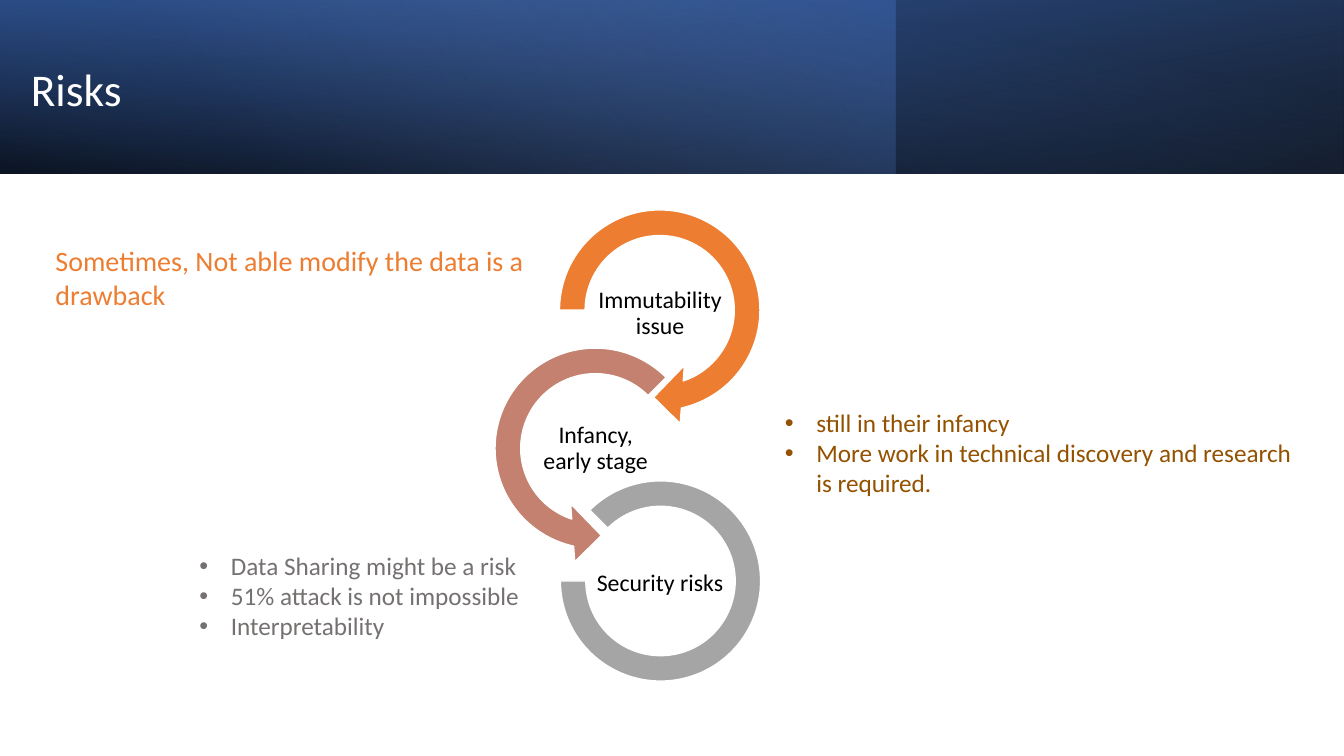
from lxml.etree import SubElement
from pptx import Presentation
from pptx.dml.color import RGBColor
from pptx.enum.shapes import MSO_SHAPE
from pptx.enum.text import MSO_ANCHOR, PP_ALIGN
from pptx.oxml.ns import qn
from pptx.util import Pt


def color(value):
    return RGBColor.from_string(value)


def write(box, lines, size, ink, frame_format={}, paragraph_format={}, bullet=False):
    frame = slide.shapes.add_textbox(*map(Pt, box)).text_frame
    for name, value in ({"word_wrap": True} | frame_format).items():
        setattr(frame, name, value)
    frame.text = "\n".join(lines)
    for paragraph in frame.paragraphs:
        for name, value in paragraph_format.items():
            setattr(paragraph, name, value)
        font = paragraph.runs[0].font
        for name, value in {"name": "Calibri", "size": Pt(size)}.items():
            setattr(font, name, value)
        font.color.rgb = color(ink)
        if bullet:
            properties = paragraph._p.get_or_add_pPr()
            properties.set("marL", str(Pt(22.5)))
            properties.set("indent", str(-Pt(22.5)))
            SubElement(properties, qn("a:buFont"), typeface="Arial")
            SubElement(properties, qn("a:buChar"), char="•")


deck = Presentation()
deck.slide_width, deck.slide_height = Pt(960), Pt(540)
slide = deck.slides.add_slide(deck.slide_layouts[6])

banner_layers = [
    (960, 180, True, 100, [(0, "000000", 96), (1, "2F5597", 100)]),
    (640, 0, False, 140, [(0, "4472C4", 41), (0.74, "8FAADC", 0)]),
    (960, 0, True, 260, [(0, "000000", 63), (0.78, "4472C4", 15)]),
]
for width, rotation, flipped, angle, stops in banner_layers:
    layer = slide.shapes.add_shape(MSO_SHAPE.RECTANGLE, 0, 0, Pt(width), Pt(124))
    layer.shadow.inherit = False
    layer.line.fill.background()
    layer.rotation = rotation
    if flipped:
        layer._element.spPr.xfrm.set("flipH", "1")
    layer.fill.gradient()
    layer.fill.gradient_angle = 360 - angle
    for stop, (position, tone, opacity) in zip(layer.fill.gradient_stops, stops):
        stop.position = position
        stop.color.rgb = color(tone)
        tone_element = stop._gs.find(qn("a:srgbClr"))
        SubElement(tone_element, qn("a:alpha"), val=str(opacity * 1000))

title_format = {"vertical_anchor": MSO_ANCHOR.MIDDLE, "margin_bottom": Pt(28)}
write((15, 40, 242, 75), ["Risks"], 32.4, "FFFFFF", title_format, {"line_spacing": 0.9})

label_format = {"vertical_anchor": MSO_ANCHOR.MIDDLE}
for side in ("left", "top", "right", "bottom"):
    label_format[f"margin_{side}"] = Pt(0.75)
label_paragraph = {"alignment": PP_ALIGN.CENTER, "line_spacing": 0.9}

risks = [
    (MSO_SHAPE.CIRCULAR_ARROW, 388, 138.3, 166.5, [0.11, 11.42, 45, 108, 0.125],
     "ED7D31", "Immutability issue", 425.5, 201),
    (MSO_SHAPE.LEFT_CIRCULAR_ARROW, 342, 237, 166.5, [0.11, 11.42, 63, 189, 0.125],
     "C48170", "Infancy, early stage", 379.5, 297.5),
    (MSO_SHAPE.BLOCK_ARC, 400.3, 343.5, 143, [135, 108, 0.127],
     "A5A5A5", "Security risks", 425.5, 394),
]
for outline, left, top, size, adjustments, tone, label, label_left, label_top in risks:
    ring = slide.shapes.add_shape(outline, Pt(left), Pt(top), Pt(size), Pt(size))
    ring.shadow.inherit = False
    for index, value in enumerate(adjustments):
        ring.adjustments[index] = value
    ring.fill.solid()
    ring.fill.fore_color.rgb = color(tone)
    ring.line.color.rgb = color("FFFFFF")
    ring.line.width = Pt(1)
    write((label_left, label_top, 92, 46), [label], 17, "000000",
          label_format, label_paragraph)

write((32.5, 170.5, 368.5, 55.5),
      ["Sometimes, Not able modify the data is a drawback"], 20, "ED7D31")
write((553.5, 287.3, 389.5, 72.7),
      ["still in their infancy",
       "More work in technical discovery and research is required."],
      18, "945200", bullet=True)
write((135.3, 389.5, 243.4, 72.7),
      ["Data Sharing might be a risk", "51% attack is not impossible", "Interpretability"],
      18, "767171", {"word_wrap": False}, bullet=True)

deck.save("out.pptx")
